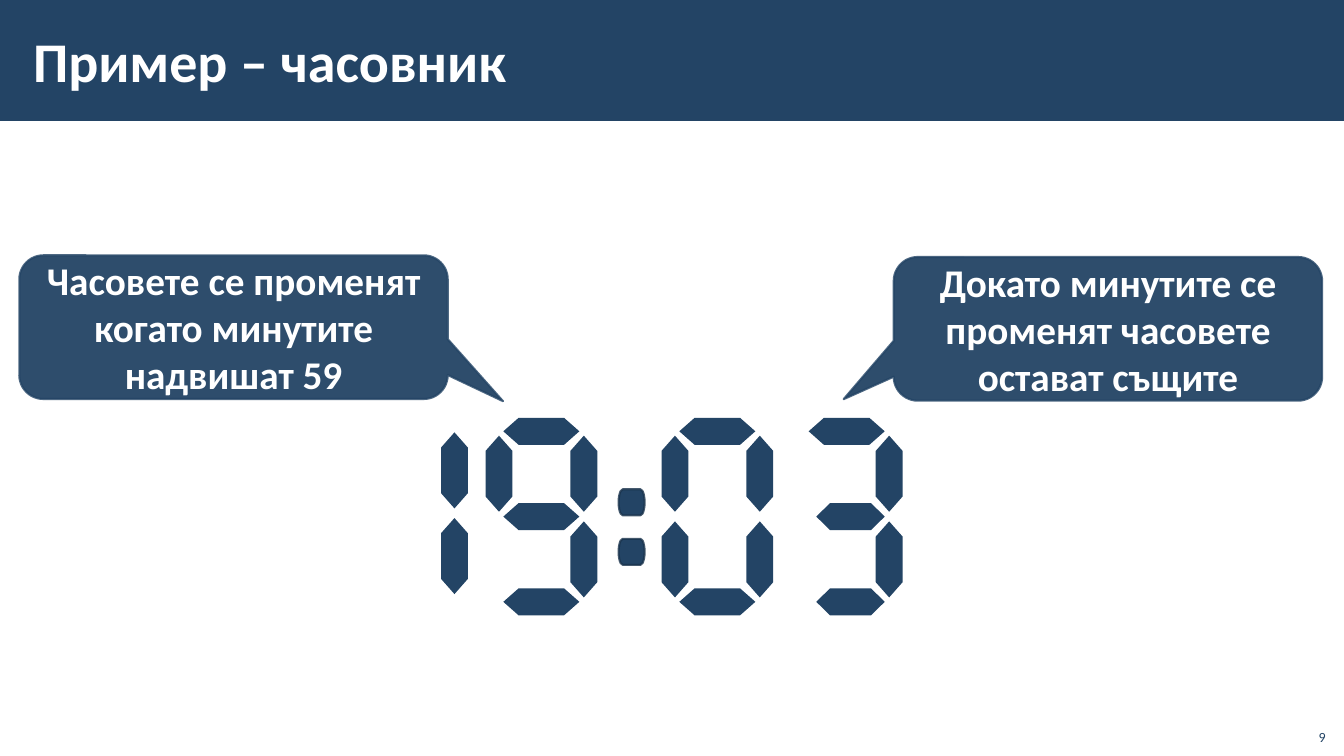
from dataclasses import dataclass

from lxml.etree import SubElement
from pptx import Presentation
from pptx.dml.color import RGBColor
from pptx.enum.shapes import MSO_SHAPE as Preset
from pptx.enum.text import MSO_ANCHOR as Anchor, MSO_AUTO_SIZE as AutoSize, PP_ALIGN as Align
from pptx.oxml.ns import qn
from pptx.util import Emu, Inches, Pt


@dataclass(frozen=True)
class Theme:
    font: str = "Calibri"
    navy: str = "234465"
    dark: str = "1A334C"
    white: str = "FFFFFF"
    title_size: int = 40
    callout_size: int = 28
    number_size: int = 10
    line_width: float = 1.5


THEME = Theme()

# The slide is a grid of 160 columns by 90 rows
CELL = Inches(7.5) / 90

# Seven-segment digit: offset from its centre in cells, and whether upright
SEGMENTS = {
    "top": (0, -10.15, False),
    "middle": (0, 0, False),
    "bottom": (0, 10.15, False),
    "upper left": (-5.05, -5.1, True),
    "upper right": (5.05, -5.1, True),
    "lower left": (-5.05, 5.1, True),
    "lower right": (5.05, 5.1, True),
}
LIT = {
    "0": set(SEGMENTS) - {"middle"},
    "1": {"upper right", "lower right"},
    "3": set(SEGMENTS) - {"upper left", "lower left"},
    "9": set(SEGMENTS) - {"lower left"},
}
SEGMENT_LENGTH, SEGMENT_THICKNESS = 9.05, 3.2
DIGIT_ROW = 61.5


def cells(*values):
    return [Emu(round(value * CELL)) for value in values]


def set_alpha(color_format_parent, percent):
    color = next(color_format_parent.iter(qn("a:srgbClr")))
    SubElement(color, qn("a:alpha")).set("val", str(percent * 1000))


def add_preset(slide, preset, box, line=None):
    shape = slide.shapes.add_shape(preset, *cells(*box))
    shape.shadow.inherit = False
    shape.fill.solid()
    shape.fill.fore_color.rgb = RGBColor.from_string(THEME.navy)
    if line:
        shape.line.color.rgb = RGBColor.from_string(line)
        shape.line.width = Pt(THEME.line_width)
        set_alpha(shape.line._ln, 80)
    else:
        shape.line.fill.background()
    return shape


def write(shape, text, size, color, align, anchor, bold=True):
    frame = shape.text_frame
    frame.word_wrap = True
    frame.auto_size = AutoSize.NONE
    frame.vertical_anchor = anchor
    paragraph = frame.paragraphs[0]
    paragraph.alignment = align
    run = paragraph.add_run()
    run.text = text
    run.font.name = THEME.font
    run.font.size = Pt(size)
    run.font.bold = bold
    run.font.color.rgb = RGBColor.from_string(color)


def add_header(slide, text):
    add_preset(slide, Preset.RECTANGLE, (0, 0, 160, 14.4))
    title = slide.shapes.title
    title.left, title.top, title.width, title.height = cells(2.5, 1.3, 127.6, 11.6)
    frame = title.text_frame
    frame.margin_left = frame.margin_right = Inches(0.12)
    frame.margin_top = frame.margin_bottom = Inches(0.04)
    write(title, text, THEME.title_size, THEME.white, Align.LEFT, Anchor.MIDDLE)
    slide.shapes._spTree.append(title._element)  # in front of the banner


def add_segment(slide, column, row, upright, length=SEGMENT_LENGTH):
    box = (column - length / 2, row - SEGMENT_THICKNESS / 2, length, SEGMENT_THICKNESS)
    segment = add_preset(slide, Preset.FLOWCHART_PREPARATION, box)
    segment.rotation = 90 if upright else 0


def add_digit(slide, digit, column, row=DIGIT_ROW, trim=None):
    """Draw the lit segments; trim shortens the named bars at their left end."""
    trim = trim or {}
    for name, (across, down, upright) in SEGMENTS.items():
        if name in LIT[digit]:
            cut = trim.get(name, 0)
            add_segment(slide, column + across + cut / 2, row + down, upright,
                        SEGMENT_LENGTH - cut)


def add_colon(slide, column, rows, size=3.1):
    for row in rows:
        box = (column - size / 2, row - size / 2, size, size)
        add_preset(slide, Preset.FLOWCHART_TERMINATOR, box, THEME.dark)


def add_callout(slide, text, column, row, pointer):
    callout = add_preset(slide, Preset.ROUNDED_RECTANGULAR_CALLOUT,
                         (column, row, 51, 17.1), THEME.navy)
    set_alpha(callout.fill._xPr, 95)
    for index, value in enumerate((*pointer, 0.167)):
        callout.adjustments[index] = value
    write(callout, text, THEME.callout_size, THEME.white, Align.CENTER, Anchor.MIDDLE)


def add_page_number(slide, number):
    box = slide.shapes.add_textbox(*cells(154.2, 85.4, 4.8, 3.9))
    write(box, number, THEME.number_size, THEME.navy, Align.RIGHT, Anchor.BOTTOM, bold=False)


def main():
    presentation = Presentation()
    presentation.slide_width, presentation.slide_height = cells(160, 90)
    slide = presentation.slides.add_slide(presentation.slide_layouts[5])

    add_header(slide, "Пример – часовник")

    # Clock face
    add_digit(slide, "1", 49.05, DIGIT_ROW - 0.4)
    add_digit(slide, "9", 64.45)
    add_colon(slide, 75.2, (59.8, 65.7))
    add_digit(slide, "0", 85.4)
    add_digit(slide, "3", 100.8, trim={"middle": 0.9, "bottom": 0.9})

    # Explanations
    add_callout(slide, "Часовете се променят когато минутите надвишат 59",
                2.3, 30.4, (0.629, 0.515))
    add_callout(slide, "Докато минутите се променят часовете остават същите",
                106.4, 30.6, (-0.617, 0.49))

    add_page_number(slide, "9")
    presentation.save("out.pptx")


main()
